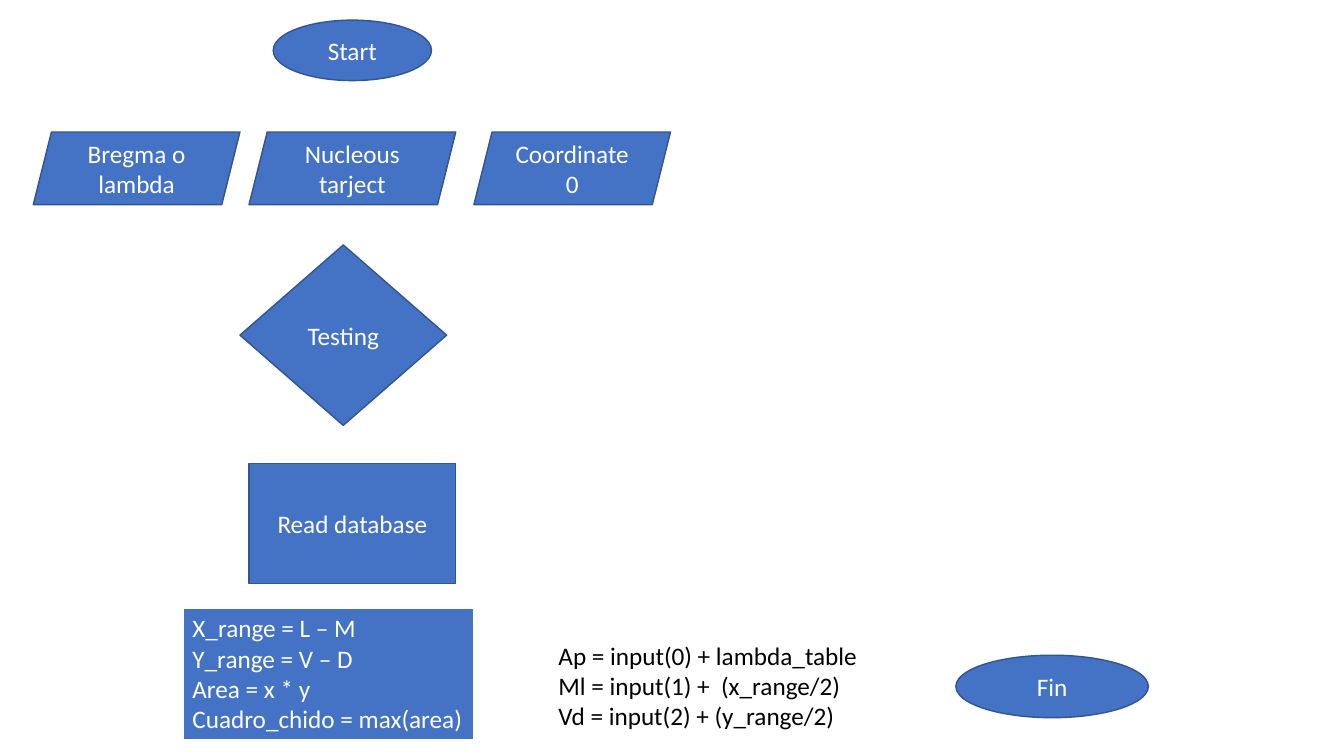
import pptx
import pptx.util
import pptx.dml.color
import pptx.enum.shapes
import pptx.enum.text

Inches = pptx.util.Inches
SHAPE = pptx.enum.shapes.MSO_SHAPE
ALIGN = pptx.enum.text.PP_ALIGN
ANCHOR = pptx.enum.text.MSO_ANCHOR
BLUE, DARK_BLUE, WHITE, BLACK = "4472C4", "325491", "FFFFFF", "000000"


def rgb(value):
    """Return the colour for a hex string."""
    return pptx.dml.color.RGBColor.from_string(value)


def write(sp, lines, color, align, anchor):
    """Fill a shape with one paragraph per line."""
    tf = sp.text_frame
    tf.word_wrap = True
    tf.vertical_anchor = anchor
    tf.text = "\n".join(lines)
    for p in tf.paragraphs:
        p.alignment = align
        p.font.name = "Calibri"
        p.font.size = pptx.util.Pt(18)
        p.font.color.rgb = rgb(color)


def add_block(s, kind, box, line, width):
    """Add a blue preset shape with an outline."""
    sp = s.shapes.add_shape(kind, *map(Inches, box))
    sp.shadow.inherit = False
    sp.fill.solid()
    sp.fill.fore_color.rgb = rgb(BLUE)
    sp.line.color.rgb = rgb(line)
    sp.line.width = pptx.util.Pt(width)
    return sp


def add_step(s, kind, box, label):
    """Add a flowchart step with a centred label."""
    sp = add_block(s, kind, box, DARK_BLUE, 1)
    write(sp, [label], WHITE, ALIGN.CENTER, ANCHOR.MIDDLE)


def add_inputs(s, left, top, height):
    """Add the row of input parallelograms."""
    inputs = [("Bregma o lambda", 0, 2.05), ("Nucleous tarject", 2.14, 2.05),
              ("Coordinate 0", 4.37, 1.95)]
    for label, offset, width in inputs:
        add_step(s, SHAPE.PARALLELOGRAM, (left + offset, top, width, height), label)


def add_range_code(s, box):
    """Add the blue block that computes ranges and area."""
    sp = add_block(s, SHAPE.RECTANGLE, box, WHITE, 1.5)
    lines = ["X_range = L – M", "Y_range = V – D", "Area = x * y",
             "Cuadro_chido = max(area)"]
    write(sp, lines, WHITE, ALIGN.LEFT, ANCHOR.TOP)


def add_coordinate_code(s, box):
    """Add the plain text that computes the coordinates."""
    sp = s.shapes.add_textbox(*map(Inches, box))
    lines = ["Ap = input(0) + lambda_table", "Ml = input(1) +  (x_range/2)",
             "Vd = input(2) + (y_range/2)"]
    write(sp, lines, BLACK, ALIGN.LEFT, ANCHOR.TOP)


def build_flowchart(s):
    """Place every step of the flowchart."""
    add_step(s, SHAPE.OVAL, (2.71, 0.2, 1.57, 0.6), "Start")
    add_inputs(s, 0.33, 1.31, 0.72)
    add_step(s, SHAPE.DIAMOND, (2.38, 2.43, 2.05, 1.79), "Testing")
    add_step(s, SHAPE.RECTANGLE, (2.47, 4.6, 2.05, 1.19), "Read database")
    add_range_code(s, (1.81, 6.03, 2.89, 1.31))
    add_coordinate_code(s, (5.44, 6.3, 3.51, 1.01))
    add_step(s, SHAPE.OVAL, (9.48, 6.5, 1.91, 0.62), "Fin")


prs = pptx.Presentation()
prs.slide_width, prs.slide_height = Inches(13.33), Inches(7.5)
build_flowchart(prs.slides.add_slide(prs.slide_layouts[6]))
prs.save("out.pptx")
